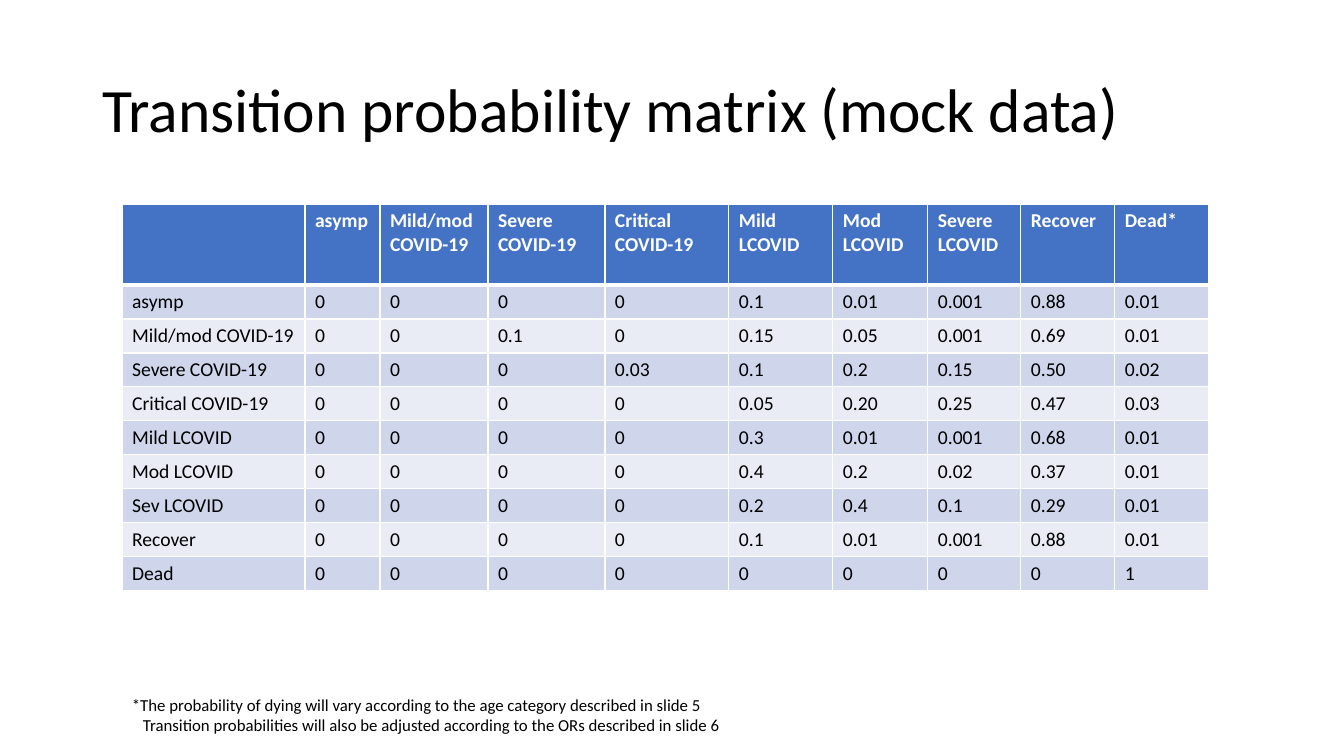
from dataclasses import dataclass

from lxml import etree
from pptx import Presentation
from pptx.dml.color import RGBColor
from pptx.enum.text import MSO_ANCHOR, PP_ALIGN
from pptx.oxml.ns import qn
from pptx.util import Emu, Pt

LEFT = PP_ALIGN.LEFT
MIDDLE = MSO_ANCHOR.MIDDLE

BLACK = RGBColor(0x00, 0x00, 0x00)
WHITE = RGBColor(0xFF, 0xFF, 0xFF)
HEADER_BLUE = RGBColor(0x44, 0x72, 0xC4)
DARK_BAND = RGBColor(0xCF, 0xD5, 0xEA)
LIGHT_BAND = RGBColor(0xE9, 0xEB, 0xF5)

FONT = "Calibri"
EMU_PER_PIXEL = 914400 / 100.8


@dataclass(frozen=True)
class TextStyle:
    size: int
    color: RGBColor = BLACK
    bold: bool = False


@dataclass(frozen=True)
class CellStyle:
    text: TextStyle
    fill: RGBColor
    top: int = 1
    bottom: int = 1


TITLE_STYLE = TextStyle(44)
NOTE_STYLE = TextStyle(12)
BODY_STYLE = TextStyle(14)
HEADER_CELL = CellStyle(TextStyle(14, WHITE, True), HEADER_BLUE, bottom=3)

HEADERS = ["", "asymp", "Mild/mod COVID-19", "Severe COVID-19", "Critical COVID-19",
           "Mild LCOVID", "Mod LCOVID", "Severe\nLCOVID", "Recover", "Dead*"]
TRANSITIONS = {
    "asymp": "0 0 0 0 0.1 0.01 0.001 0.88 0.01",
    "Mild/mod COVID-19": "0 0 0.1 0 0.15 0.05 0.001 0.69 0.01",
    "Severe COVID-19": "0 0 0 0.03 0.1 0.2 0.15 0.50 0.02",
    "Critical COVID-19": "0 0 0 0 0.05 0.20 0.25 0.47 0.03",
    "Mild LCOVID": "0 0 0 0 0.3 0.01 0.001 0.68 0.01",
    "Mod LCOVID": "0 0 0 0 0.4 0.2 0.02 0.37 0.01",
    "Sev LCOVID": "0 0 0 0 0.2 0.4 0.1 0.29 0.01",
    "Recover": "0 0 0 0 0.1 0.01 0.001 0.88 0.01",
    "Dead": "0 0 0 0 0 0 0 0 1",
}
COLUMN_WIDTHS = [183, 75, 108, 117, 124, 104, 95, 93, 94, 94]
HEADER_HEIGHT, ROW_HEIGHT = 81, 34
NOTES = [
    "*The probability of dying will vary according to the age category described in slide 5",
    "Transition probabilities will also be adjusted according to the ORs described in slide 6",
]
NOTE_INDENT = 11


def px(pixels: int) -> Emu:
    return Emu(round(pixels * EMU_PER_PIXEL))


def write(frame, lines: list[str], style: TextStyle) -> None:
    for index, line in enumerate(lines):
        para = frame.paragraphs[0] if index == 0 else frame.add_paragraph()
        para.alignment = LEFT
        span = para.add_run()
        span.text = line
        span.font.name = FONT
        span.font.size = Pt(style.size)
        span.font.bold = style.bold
        span.font.color.rgb = style.color


def draw_cell(cell, text: str, style: CellStyle) -> None:
    properties = cell._tc.get_or_add_tcPr()
    borders = {"a:lnL": 1, "a:lnR": 1, "a:lnT": style.top, "a:lnB": style.bottom}
    for tag, points in borders.items():
        line = etree.SubElement(properties, qn(tag), w=str(Pt(points)))
        paint = etree.SubElement(line, qn("a:solidFill"))
        etree.SubElement(paint, qn("a:srgbClr"), val=str(WHITE))
    cell.fill.solid()
    cell.fill.fore_color.rgb = style.fill
    if text:
        write(cell.text_frame, text.split("\n"), style.text)


def body_cell(row: int) -> CellStyle:
    fill = DARK_BAND if row % 2 else LIGHT_BAND
    return CellStyle(BODY_STYLE, fill, top=3 if row == 1 else 1)


deck = Presentation()
deck.slide_width, deck.slide_height = px(1344), px(756)
page = deck.slides.add_slide(deck.slide_layouts[5])

# Title
title = page.shapes.title
title.left, title.top, title.width, title.height = px(92), px(40), px(1159), px(146)
title.text_frame.vertical_anchor = MIDDLE
write(title.text_frame, ["Transition probability matrix (mock data)"], TITLE_STYLE)
title.text_frame.paragraphs[0].line_spacing = 0.9

# Transition matrix
matrix = [HEADERS] + [[state, *values.split()] for state, values in TRANSITIONS.items()]
table_height = HEADER_HEIGHT + ROW_HEIGHT * len(TRANSITIONS)
table = page.shapes.add_table(len(matrix), len(HEADERS), px(122), px(204),
                              px(sum(COLUMN_WIDTHS)), px(table_height)).table
for column, width in zip(table.columns, COLUMN_WIDTHS):
    column.width = px(width)
for row, texts in enumerate(matrix):
    table.rows[row].height = px(ROW_HEIGHT if row else HEADER_HEIGHT)
    cell_style = body_cell(row) if row else HEADER_CELL
    for column, text in enumerate(texts):
        draw_cell(table.cell(row, column), text, cell_style)

# Footnotes
box = page.shapes.add_textbox(px(122), px(690), px(612), px(51))
box.text_frame.word_wrap = False
write(box.text_frame, NOTES, NOTE_STYLE)
second_note = box.text_frame.paragraphs[1]
second_note._p.get_or_add_pPr().set("marL", str(px(NOTE_INDENT)))

deck.save("out.pptx")
